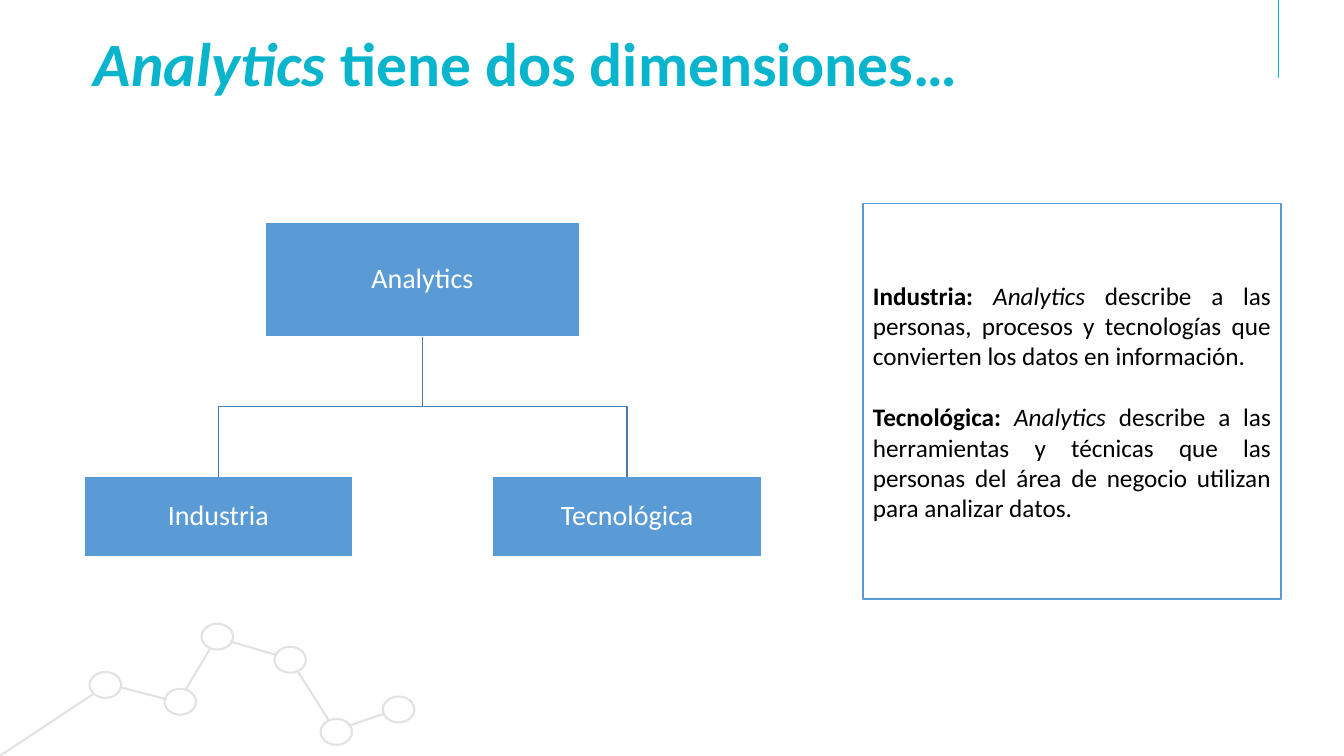
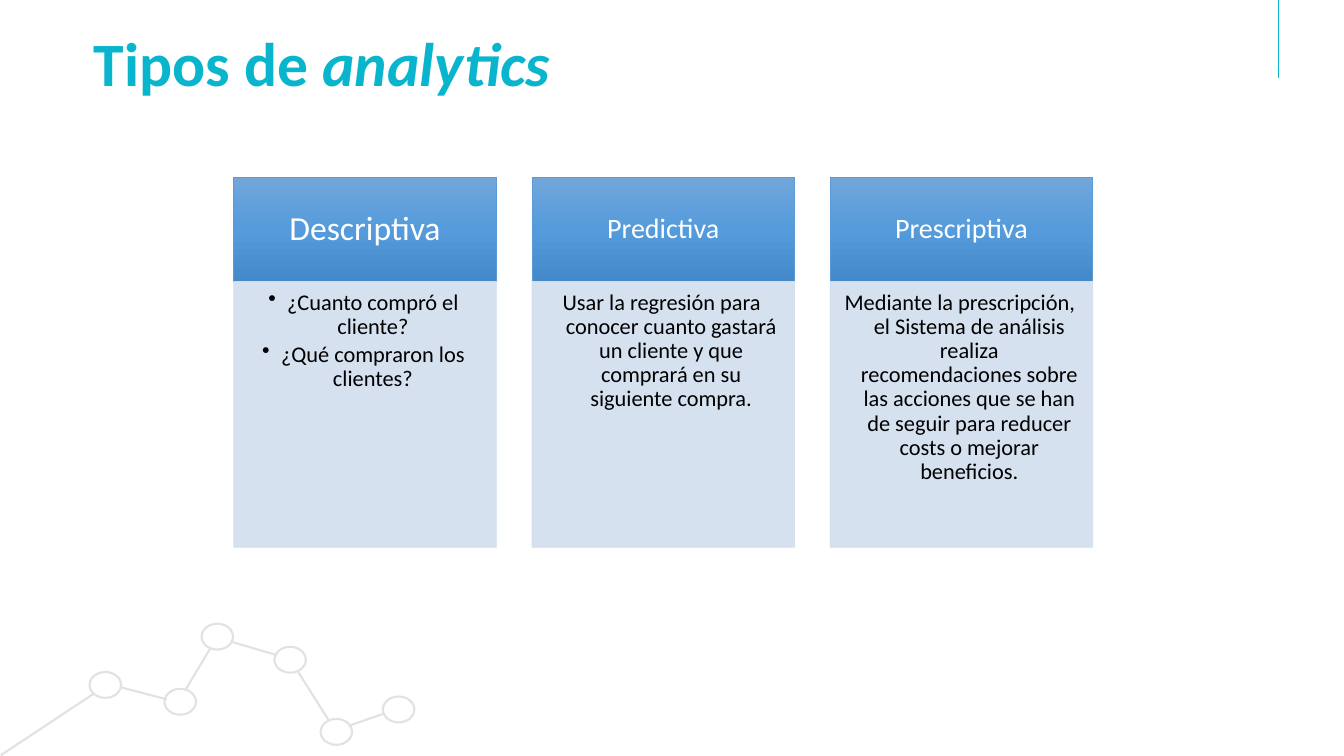
from copy import deepcopy

from pptx import Presentation
from pptx.dml.color import RGBColor
from pptx.enum.shapes import MSO_CONNECTOR, MSO_SHAPE
from pptx.enum.text import MSO_ANCHOR, PP_ALIGN
from pptx.oxml.ns import qn
from pptx.util import Pt
from lxml import etree

RECTANGLE = MSO_SHAPE.RECTANGLE
OVAL = MSO_SHAPE.OVAL
STRAIGHT = MSO_CONNECTOR.STRAIGHT
TOP, MIDDLE = MSO_ANCHOR.TOP, MSO_ANCHOR.MIDDLE
LEFT, CENTER, JUSTIFY = PP_ALIGN.LEFT, PP_ALIGN.CENTER, PP_ALIGN.JUSTIFY

FONT = "Calibri"
TEAL = RGBColor(0x09, 0xB5, 0xCD)
BLUE = RGBColor(0x5B, 0x9B, 0xD5)
DARK_BLUE = RGBColor(0x49, 0x7C, 0xAB)
PALE_BLUE = RGBColor(0xD2, 0xDE, 0xEF)
GRAY = RGBColor(0xE2, 0xE2, 0xE2)
WHITE = RGBColor(0xFF, 0xFF, 0xFF)
BLACK = RGBColor(0x00, 0x00, 0x00)
HEADER_GRADIENT = (
    (0, RGBColor(0x71, 0xA6, 0xDB)),
    (0.5, RGBColor(0x55, 0x9B, 0xDB)),
    (1, RGBColor(0x44, 0x8A, 0xCA)),
)

DEFAULT_MARGINS = (7.2, 3.6, 7.2, 3.6)
NODE_MARGINS = (1, 1, 1, 1)
HEADER_MARGINS = (12, 7, 12, 7)
BODY_MARGINS = (6.75, 6.75, 9, 10)
HANGING_INDENT = 13.5

NETWORK_NODES = (
    (64, 480), (117.5, 492), (144, 445.5),
    (196, 462), (229, 513.5), (273.5, 497.5),
)
NETWORK_NODE_SIZE = (22.5, 18.5)
NETWORK_LINKS = (
    (0.5, 539.5, 67, 495.5), (86.5, 491, 119, 499.5), (133, 492, 150, 463.5),
    (165.5, 458.5, 198, 468), (213, 480, 234.5, 514), (249, 518.5, 273.5, 510),
)

CARD_LEFT, CARD_TOP, CARD_WIDTH, CARD_PITCH = 167, 126.5, 187.5, 213
HEADER_HEIGHT, BODY_HEIGHT = 74.5, 190


def plain(text):
    return [(text, False, False)]


def write_text(shape, paragraphs, *, size, color, align=CENTER, anchor=MIDDLE,
               margins=DEFAULT_MARGINS, line_spacing=0.9, gap=0, hanging=0,
               bullet=False):
    frame = shape.text_frame
    frame.word_wrap = True
    frame.vertical_anchor = anchor
    (frame.margin_left, frame.margin_top,
     frame.margin_right, frame.margin_bottom) = map(Pt, margins)
    for index, spans in enumerate(paragraphs):
        para = frame.add_paragraph() if index else frame.paragraphs[0]
        para.alignment = align
        para.line_spacing = line_spacing
        if index:
            para.space_before = Pt(gap)
        if hanging:
            set_hanging_indent(para, hanging, bullet)
        for text, bold, italic in spans:
            span = para.add_run()
            span.text = text
            font = span.font
            font.name, font.size = FONT, Pt(size)
            font.bold, font.italic = bold, italic
            font.color.rgb = color


def set_hanging_indent(para, indent, bullet):
    properties = para._p.get_or_add_pPr()
    properties.set("marL", str(Pt(indent)))
    properties.set("indent", str(-Pt(indent)))
    if bullet:
        etree.SubElement(properties, qn("a:buChar")).set("char", "•")
    else:
        etree.SubElement(properties, qn("a:buNone"))


def add_box(page, left, top, width, height, *, kind=RECTANGLE, fill=None,
            line, weight=1):
    box = page.shapes.add_shape(kind, Pt(left), Pt(top), Pt(width), Pt(height))
    box.shadow.inherit = False
    if fill is None:
        box.fill.background()
    else:
        box.fill.solid()
        box.fill.fore_color.rgb = fill
    box.line.color.rgb = line
    box.line.width = Pt(weight)
    return box


def add_line(page, left, top, right, bottom, color, weight):
    line = page.shapes.add_connector(
        STRAIGHT, Pt(left), Pt(top), Pt(right), Pt(bottom))
    line.line.color.rgb = color
    line.line.width = Pt(weight)
    etree.SubElement(line._element.spPr, qn("a:effectLst"))


def add_branch(page, parent, child):
    start_x = parent.left + parent.width // 2
    start_y = parent.top + parent.height
    end_x = child.left + child.width // 2
    middle_y = (start_y + child.top) // 2
    builder = page.shapes.build_freeform(start_x, start_y)
    builder.add_line_segments(
        [(start_x, middle_y), (end_x, middle_y), (end_x, child.top)],
        close=False)
    branch = builder.convert_to_shape()
    branch.shadow.inherit = False
    branch.fill.background()
    branch.line.color.rgb = DARK_BLUE
    branch.line.width = Pt(1)


def apply_gradient(box, stops):
    box.fill.gradient()
    box.fill.gradient_angle = 270
    stop_list = box._element.spPr.find(".//" + qn("a:gsLst"))
    while len(stop_list) < len(stops):
        stop_list.append(deepcopy(stop_list[0]))
    for stop, (position, color) in zip(box.fill.gradient_stops, stops):
        stop.position = position
        stop.color.rgb = color


def apply_opacity(box, percent):
    for color in box._element.spPr.iter(qn("a:srgbClr")):
        etree.SubElement(color, qn("a:alpha")).set("val", str(percent * 1000))


def add_page(deck, title):
    page = deck.slides.add_slide(deck.slide_layouts[6])
    add_line(page, 913, 0, 913, 56, TEAL, 0.75)
    for link in NETWORK_LINKS:
        add_line(page, *link, GRAY, 1.5)
    for left, top in NETWORK_NODES:
        add_box(page, left, top, *NETWORK_NODE_SIZE, kind=OVAL, line=GRAY,
                weight=1.5)
    box = page.shapes.add_textbox(Pt(60), Pt(19.5), Pt(757), Pt(56))
    write_text(box, [title], size=44, color=TEAL, align=LEFT)
    return page


def add_node(page, text, left, top, width, height):
    node = add_box(page, left, top, width, height, fill=BLUE, line=WHITE)
    write_text(node, [plain(text)], size=20, color=WHITE, margins=NODE_MARGINS)
    return node


def add_card(page, column, heading, texts, *, heading_size=20, bullet=False):
    left = CARD_LEFT + column * CARD_PITCH
    header = add_box(page, left, CARD_TOP, CARD_WIDTH, HEADER_HEIGHT,
                     line=BLUE, weight=0.5)
    apply_gradient(header, HEADER_GRADIENT)
    write_text(header, [plain(heading)], size=heading_size, color=WHITE,
               margins=HEADER_MARGINS)
    body = add_box(page, left, CARD_TOP + HEADER_HEIGHT, CARD_WIDTH,
                   BODY_HEIGHT, fill=PALE_BLUE, line=PALE_BLUE, weight=0.5)
    apply_opacity(body, 90)
    write_text(body, [plain(text) for text in texts], size=16, color=BLACK,
               anchor=TOP, margins=BODY_MARGINS, gap=2.5,
               hanging=HANGING_INDENT, bullet=bullet)


def build_dimensions(deck):
    page = add_page(deck, [("Analytics ", True, True),
                           ("tiene dos dimensiones…", True, False)])
    root = add_node(page, "Analytics", 189.5, 158.5, 224.5, 82)
    for text, left in (("Industria", 60), ("Tecnológica", 352)):
        add_branch(page, root, add_node(page, text, left, 340.5, 192, 57.5))
    definitions = (
        ("Industria: ", " describe a las personas, procesos y tecnologías que "
                        "convierten los datos en información."),
        ("Tecnológica: ", " describe a las herramientas y técnicas que las "
                          "personas del área de negocio utilizan para "
                          "analizar datos."),
    )
    box = add_box(page, 616.5, 145.5, 298.5, 282.5, fill=WHITE, line=BLUE)
    write_text(box, [[(term, True, False), ("Analytics", False, True),
                      (meaning, False, False)] for term, meaning in definitions],
               size=18, color=BLACK, align=JUSTIFY, line_spacing=1, gap=22)


def build_types(deck):
    page = add_page(deck, [("Tipos de ", True, False),
                           ("analytics", True, True)])
    add_card(page, 0, "Descriptiva",
             ["¿Cuanto compró el cliente?", "¿Qué compraron los clientes?"],
             heading_size=24, bullet=True)
    add_card(page, 1, "Predictiva",
             ["Usar la regresión para conocer cuanto gastará un cliente y que "
              "comprará en su siguiente compra."])
    add_card(page, 2, "Prescriptiva",
             ["Mediante la prescripción, el Sistema de análisis realiza "
              "recomendaciones sobre las acciones que se han de seguir para "
              "reducer costs o mejorar beneficios."])


def main():
    deck = Presentation()
    deck.slide_width, deck.slide_height = Pt(960), Pt(540)
    build_dimensions(deck)
    build_types(deck)
    deck.save("out.pptx")


if __name__ == "__main__":
    main()
